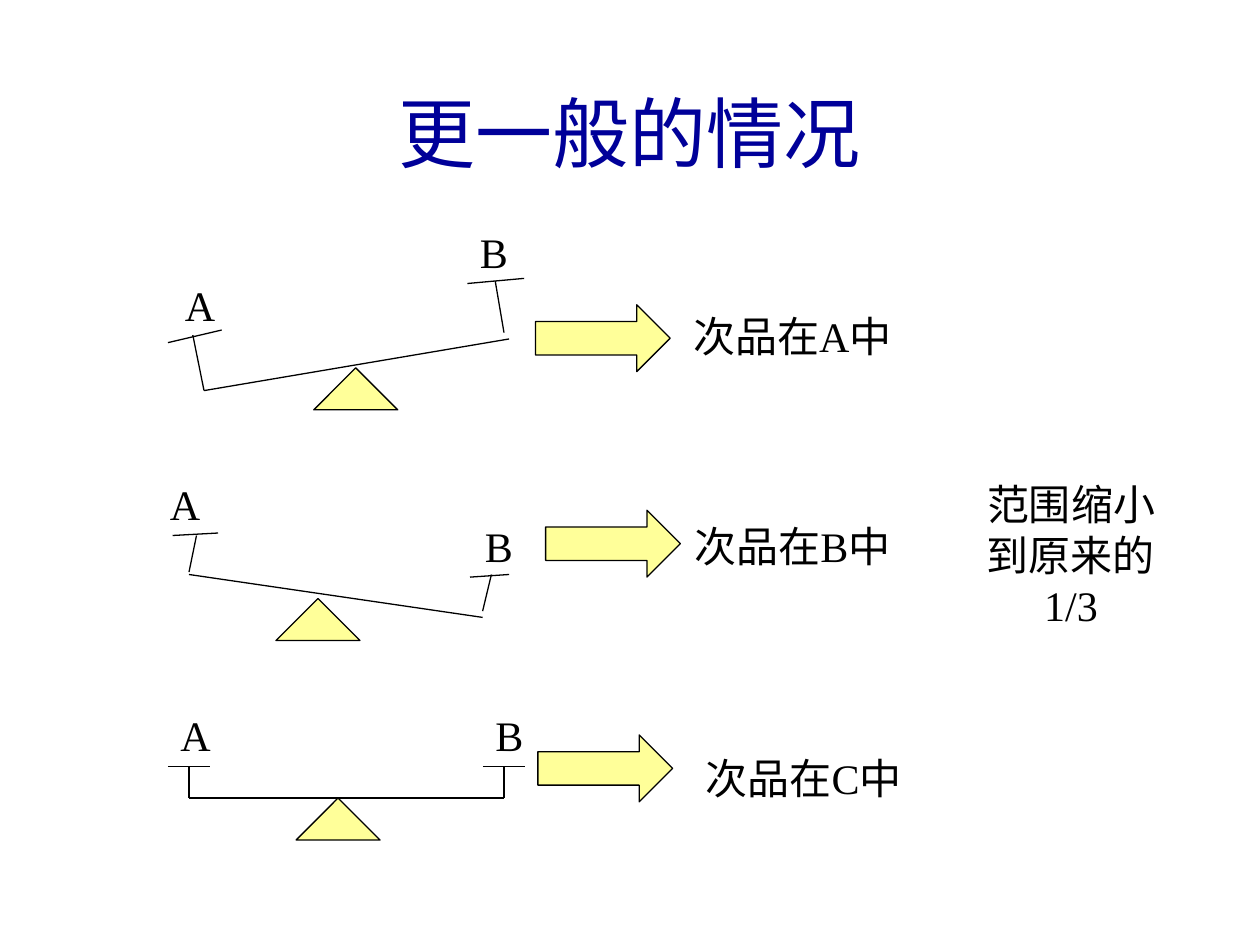
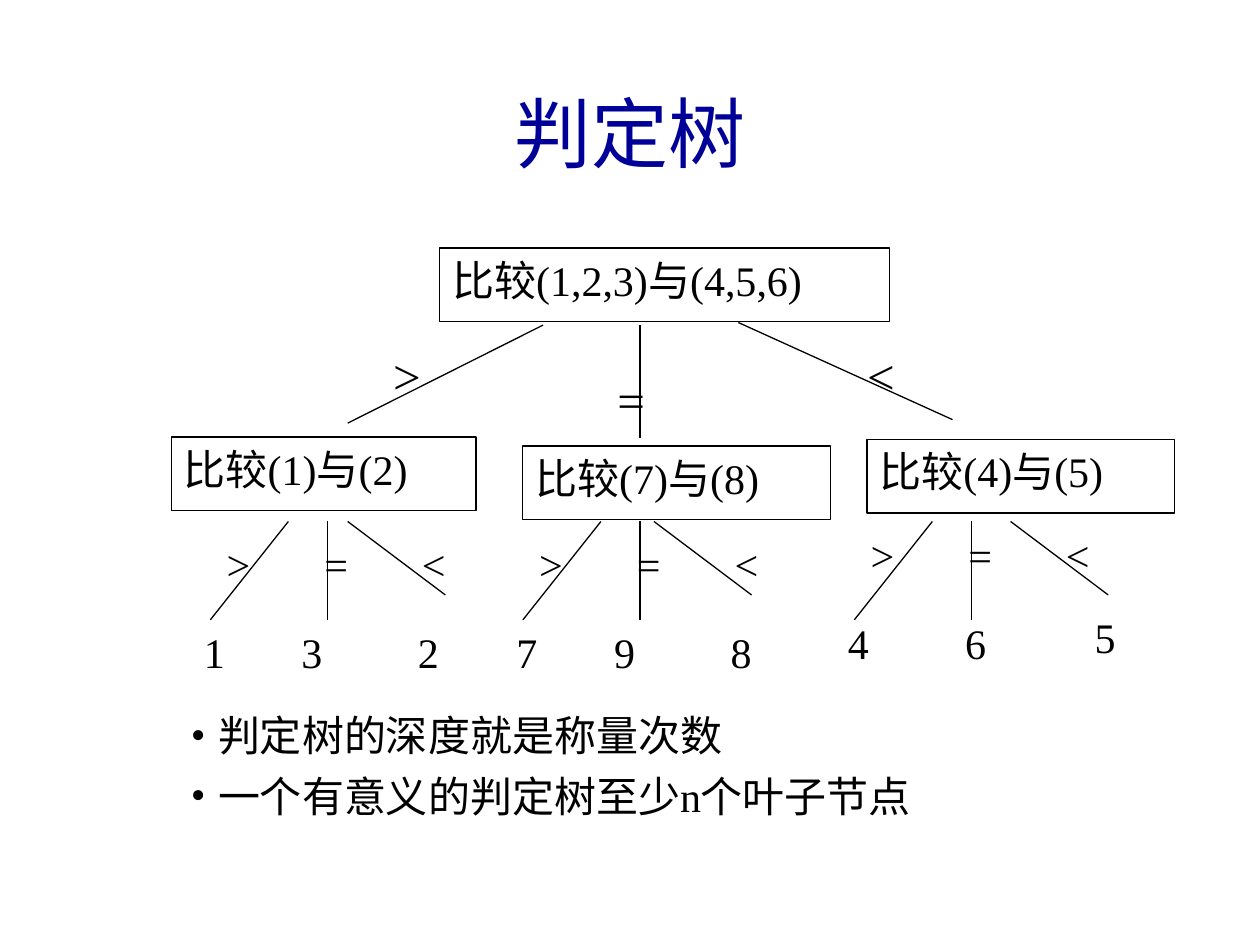
from lxml.etree import SubElement
from pptx import Presentation
from pptx.dml.color import RGBColor
from pptx.enum.shapes import MSO_CONNECTOR, MSO_SHAPE
from pptx.enum.text import MSO_ANCHOR, PP_ALIGN
from pptx.oxml.ns import qn
from pptx.util import Pt

COLORS = {"title": "000099", "ink": "000000", "accent": "FFFF99"}
BODY_FONT = "Times New Roman"
TITLE_FONT = "Arial"
BODY_SIZE = 24

PIVOT_SIZE = (48, 24)
ARROW_SIZE = (77, 38.2)
NODE_HEIGHT = 41.8
SIGNS = (">", "=", "<")

BALANCES = [
    dict(
        box=(96, 126),
        pivot=(83.3, 84.2),
        lines=[
            ((20.6, 97.2), (194.9, 67.7)),
            ((20.6, 97.2), (14.2, 65.5)),
            ((192, 64.1), (187, 34.6)),
            ((0, 69.8), (30.7, 62.6)),
            ((171.1, 36), (203.5, 33.1)),
        ],
        labels={"A": (2.6, 30.2), "B": (171.1, 0)},
        arrow=(210, 48.2),
        result=("次品在A中", 269.8, 48.2),
    ),
    dict(
        box=(90, 270),
        pivot=(67.7, 72),
        lines=[
            ((18, 58.3), (185.8, 82.8)),
            ((18, 56.9), (22.3, 36)),
            ((185.8, 79.2), (190.8, 58.3)),
            ((8.6, 36), (34.6, 34.6)),
            ((178.6, 59.8), (200.9, 58.3)),
        ],
        labels={"A": (0, 0), "B": (180, 23.8)},
        arrow=(221.8, 21.6),
        result=("次品在B中", 275.8, 23.8),
    ),
    dict(
        box=(96, 402),
        pivot=(73.2, 54),
        lines=[
            ((12, 54), (192, 54)),
            ((12, 54), (12, 36)),
            ((192, 54), (192, 36)),
            ((0, 36), (24, 36)),
            ((180, 36), (204, 36)),
        ],
        labels={"A": (0, 0), "B": (180, 0)},
        arrow=(211.4, 18),
        result=("次品在C中", 276.2, 24.4),
    ),
]

SUBTREES = [
    dict(
        box=(109.4, 298),
        node=("比较(1)与(2)", -11.5, -48.2, 174.2),
        sign_top=0,
        last_branch=89.3,
        leaves=[("1", 0, 56.2), ("3", 55.8, 56.2), ("2", 122.4, 56.2)],
    ),
    dict(
        box=(288, 298),
        node=("比较(7)与(8)", 10.8, -43.1, 175.7),
        sign_top=0,
        last_branch=85.7,
        leaves=[("7", 0, 56.2), ("9", 55.8, 56.2), ("8", 122.4, 56.2)],
    ),
    dict(
        box=(477.4, 298),
        node=("比较(4)与(5)", 18, -46.7, 175.7),
        sign_top=-5,
        last_branch=100.1,
        leaves=[("4", 0, 51.2), ("6", 67, 51.2), ("5", 141.1, 47.6)],
    ),
]


def rgb(role):
    return RGBColor.from_string(COLORS[role])


def write(frame, lines, align=PP_ALIGN.LEFT, size=BODY_SIZE, font=BODY_FONT,
          color="ink", before=0, anchor=MSO_ANCHOR.TOP):
    frame.word_wrap = True
    frame.vertical_anchor = anchor
    for index, line in enumerate(lines):
        paragraph = frame.add_paragraph() if index else frame.paragraphs[0]
        paragraph.alignment = align
        paragraph.space_before = Pt(before)
        run = paragraph.add_run()
        run.text = line
        run.font.size = Pt(size)
        run.font.name = font
        run.font.color.rgb = rgb(color)


def add_text(slide, left, top, width, height, lines, **style):
    frame = slide.shapes.add_textbox(Pt(left), Pt(top), Pt(width), Pt(height)).text_frame
    write(frame, lines, **style)
    return frame


def add_outline(slide, kind, left, top, width, height, fill=None, line="ink"):
    outline = slide.shapes.add_shape(kind, Pt(left), Pt(top), Pt(width), Pt(height))
    outline.shadow.inherit = False
    if fill:
        outline.fill.solid()
        outline.fill.fore_color.rgb = rgb(fill)
    else:
        outline.fill.background()
    if line:
        outline.line.color.rgb = rgb(line)
        outline.line.width = Pt(0.75)
    else:
        outline.line.fill.background()
    return outline


def add_line(slide, left, top, start, end):
    line = slide.shapes.add_connector(
        MSO_CONNECTOR.STRAIGHT,
        Pt(left + start[0]), Pt(top + start[1]),
        Pt(left + end[0]), Pt(top + end[1]),
    )
    line.line.color.rgb = rgb("ink")
    line.line.width = Pt(0.75)
    SubElement(line._element.spPr, qn("a:effectLst"))


def add_titled_slide(deck, title):
    slide = deck.slides.add_slide(deck.slide_layouts[6])
    add_text(slide, 24, 30, 672, 90, [title], align=PP_ALIGN.CENTER, size=44,
             font=TITLE_FONT, color="title", anchor=MSO_ANCHOR.MIDDLE)
    return slide


def add_balance(slide, box, pivot, lines, labels, arrow, result):
    left, top = box
    add_outline(slide, MSO_SHAPE.ISOSCELES_TRIANGLE, left + pivot[0], top + pivot[1],
                *PIVOT_SIZE, fill="accent")
    for start, end in lines:
        add_line(slide, left, top, start, end)
    for label, (dx, dy) in labels.items():
        add_text(slide, left + dx, top + dy, 96, 36, [label], before=15)
    outcome, dx, dy = result
    add_text(slide, left + dx, top + dy, 174, 36, [outcome],
             align=PP_ALIGN.CENTER, before=15)
    add_outline(slide, MSO_SHAPE.RIGHT_ARROW, left + arrow[0], top + arrow[1],
                *ARROW_SIZE, fill="accent")


def add_node(slide, left, top, width, comparison):
    node = add_outline(slide, MSO_SHAPE.RECTANGLE, left, top, width, NODE_HEIGHT)
    write(node.text_frame, [comparison], align=PP_ALIGN.JUSTIFY)


def add_sign(slide, left, top, width, height, sign, size=BODY_SIZE):
    oval = add_outline(slide, MSO_SHAPE.OVAL, left, top, width, height, line=None)
    write(oval.text_frame, [sign], align=PP_ALIGN.JUSTIFY, size=size)


def add_root(slide, left, top):
    add_node(slide, left, top, 257, "比较(1,2,3)与(4,5,6)")
    branches = [((59, 44), (-52.6, 100)), ((114.5, 44), (114.5, 108.7)),
                ((170.6, 42.5), (293, 98))]
    for start, end in branches:
        add_line(slide, left, top, start, end)
    for sign, (dx, dy) in zip(SIGNS, [(-41.8, 44), (86.4, 57.6), (229, 44)]):
        add_sign(slide, left + dx, top + dy, 55.4, 56.2, sign, size=28)


def add_subtree(slide, box, node, sign_top, last_branch, leaves):
    left, top = box
    comparison, dx, dy, width = node
    add_node(slide, left + dx, top + dy, width, comparison)
    branches = [((55.4, 0), (10.8, 56.2)), ((77.8, 0), (77.8, 56.2)),
                ((last_branch, 0), (last_branch + 55.8, 42))]
    for start, end in branches:
        add_line(slide, left, top, start, end)
    for index, sign in enumerate(SIGNS):
        add_sign(slide, left + index * 55.8, top + sign_top, 89.3, 41.8, sign)
    for leaf, dx, dy in leaves:
        add_text(slide, left + dx, top + dy, 45, 41.8, [leaf], align=PP_ALIGN.JUSTIFY)


def add_conclusions(slide, left, top, width, height):
    frame = add_text(slide, left, top, width, height,
                     ["判定树的深度就是称量次数", "一个有意义的判定树至少n个叶子节点"], before=6)
    for paragraph in frame.paragraphs:
        properties = paragraph._p.get_or_add_pPr()
        properties.set("marL", str(Pt(15.5)))
        properties.set("indent", str(Pt(-15.5)))
        SubElement(properties, qn("a:buFont"), typeface=BODY_FONT)
        SubElement(properties, qn("a:buChar"), char="•")


def build_general_case(deck):
    slide = add_titled_slide(deck, "更一般的情况")
    for balance in BALANCES:
        add_balance(slide, **balance)
    add_text(slide, 552, 270, 120, 93.6, ["范围缩小到原来的1/3"],
             align=PP_ALIGN.CENTER, before=15)


def build_decision_tree(deck):
    slide = add_titled_slide(deck, "判定树")
    add_root(slide, 251.3, 141.8)
    for subtree in SUBTREES:
        add_subtree(slide, **subtree)
    add_conclusions(slide, 102, 402, 558, 114.5)


def main():
    deck = Presentation()
    deck.slide_width, deck.slide_height = Pt(720), Pt(540)
    build_general_case(deck)
    build_decision_tree(deck)
    deck.save("out.pptx")


if __name__ == "__main__":
    main()
